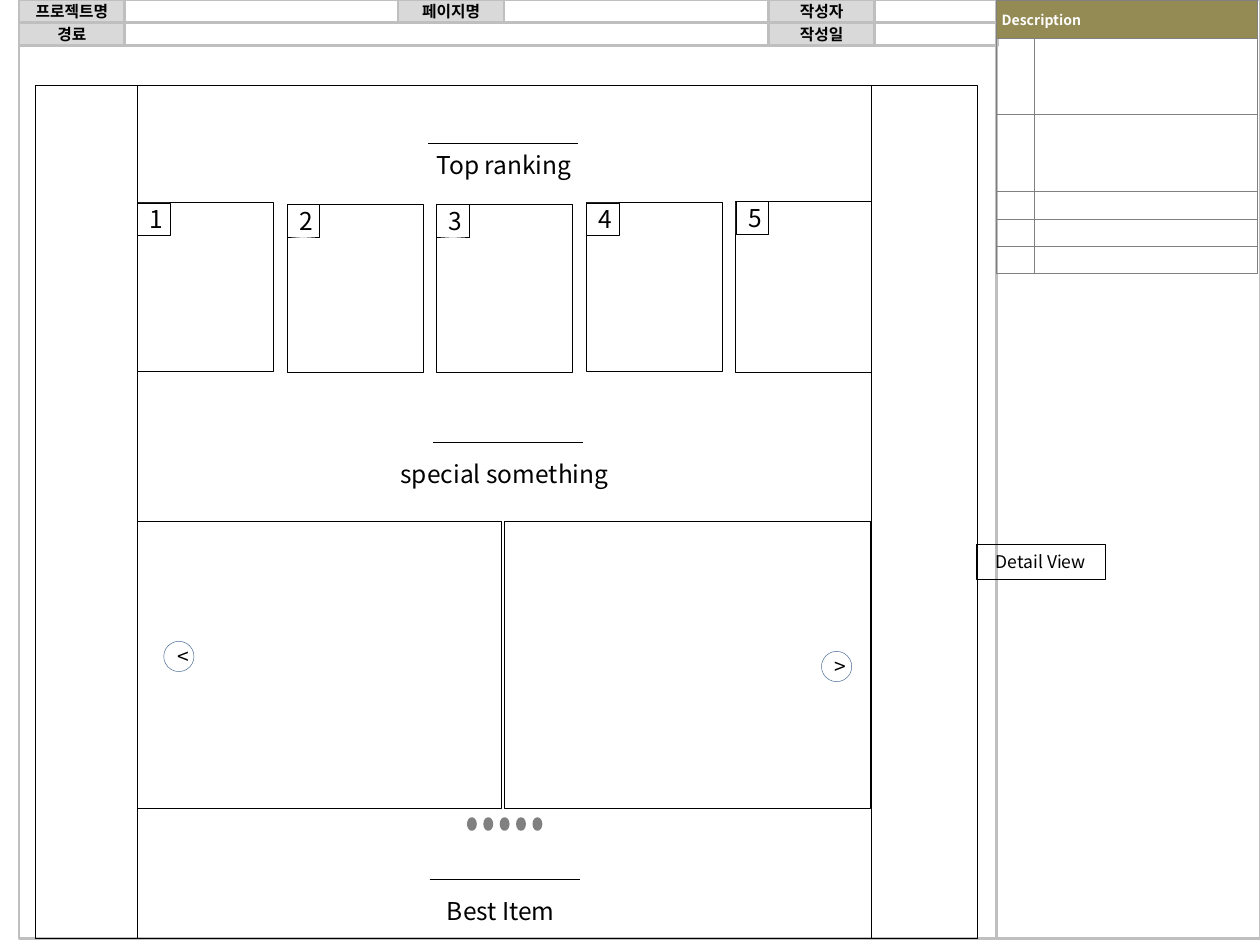
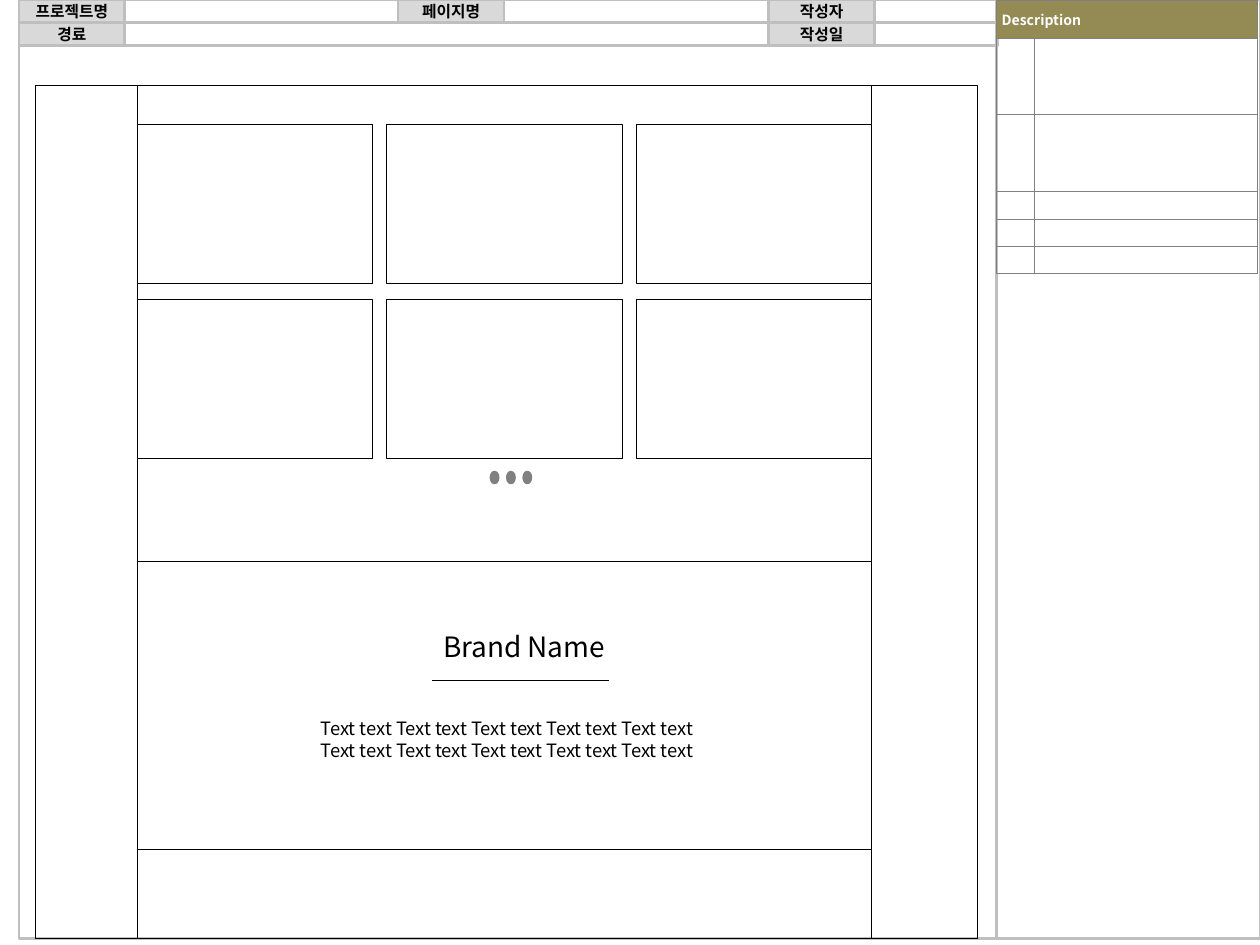
from dataclasses import dataclass
from typing import NamedTuple, Optional

from lxml import etree
from pptx import Presentation
from pptx.dml.color import RGBColor
from pptx.enum.shapes import MSO_CONNECTOR, MSO_SHAPE
from pptx.enum.text import MSO_ANCHOR, MSO_AUTO_SIZE, PP_ALIGN
from pptx.oxml.ns import qn
from pptx.util import Inches, Pt

RECT = MSO_SHAPE.RECTANGLE
OVAL = MSO_SHAPE.OVAL
STRAIGHT = MSO_CONNECTOR.STRAIGHT
MIDDLE = MSO_ANCHOR.MIDDLE
GROW = MSO_AUTO_SIZE.SHAPE_TO_FIT_TEXT
CENTER = PP_ALIGN.CENTER
LEFT = PP_ALIGN.LEFT


@dataclass(frozen=True)
class Theme:
    face: str = "Noto Sans CJK KR"
    ink: str = "000000"
    paper: str = "FFFFFF"
    frame: str = "BFBFBF"
    label: str = "D9D9D9"
    grey: str = "808080"
    olive: str = "948A54"
    blue: str = "3A5F8C"
    note: float = 8
    small: float = 9
    button: float = 10
    body: float = 10.5
    arrow: float = 12
    head: float = 14
    brand: float = 16
    hair: float = 0.25
    thin: float = 0.5
    thick: float = 1.5
    bold: float = 2


class Box(NamedTuple):
    left: float
    top: float
    width: float
    height: float


class Label(NamedTuple):
    text: str
    left: float
    row: int


class Title(NamedTuple):
    text: str
    box: Box
    rule: float
    top: float


class Arrow(NamedTuple):
    text: str
    left: float
    top: float


THEME = Theme()
BAND = 0.18
INNER = Box(1.09, 0.68, 5.83, 6.77)
FRAMES = [
    Box(0.15, 0, 9.85, 7.45),
    Box(0.15, 0, 7.77, 2 * BAND),
    Box(7.91, 0, 2.09, 7.45),
    Box(0.15, 0, 7.77, BAND),
]
LABELS = [
    Label("프로젝트명", 0.15, 0),
    Label("경료", 0.15, 1),
    Label("페이지명", 3.16, 0),
    Label("작성자", 6.1, 0),
    Label("작성일", 6.1, 1),
]
COLS = [0.3, 1.77]
ROWS = [0.3, 0.61, 0.61, 0.21, 0.21, 0.21]
TITLES = [
    Title("Top ranking", Box(1.06, 1.14, 5.88, 0.34), 3.4, 1.14),
    Title("special something", Box(1.1, 3.59, 5.81, 0.34), 3.44, 3.51),
    Title("Best Item", Box(1.07, 7.06, 5.81, 0.34), 3.41, 6.98),
]
RANKS = [(1.61, 1.34), (1.62, 1.34), (1.62, 1.34), (1.61, 1.34), (1.6, 1.36)]
ARROWS = [Arrow("<", 1.3, 5.09), Arrow(">", 6.52, 5.17)]


def color(code: str) -> RGBColor:
    return RGBColor.from_string(code)


def style(para, size: float, code: str = THEME.ink, bold: bool = False,
          align=CENTER) -> None:
    para.alignment = align
    font = para.font
    font.size = Pt(size)
    font.bold = bold
    font.name = THEME.face
    font.color.rgb = color(code)
    props = para._p.pPr.find(qn("a:defRPr"))
    etree.SubElement(props, qn("a:ea"), typeface=THEME.face)


def draw(shapes, box: Box, kind=RECT, fill: Optional[str] = None,
         line: str = THEME.ink, weight: float = THEME.thin, text: str = "",
         size: float = THEME.head, bold: bool = False) -> None:
    shape = shapes.add_shape(kind, *map(Inches, box))
    shape.shadow.inherit = False
    if fill:
        shape.fill.solid()
        shape.fill.fore_color.rgb = color(fill)
    else:
        shape.fill.background()
    shape.line.color.rgb = color(line)
    shape.line.width = Pt(weight)
    if text:
        frame = shape.text_frame
        frame.vertical_anchor = MIDDLE
        frame.text = text
        style(frame.paragraphs[0], size, bold=bold)


def write(shapes, box: Box, lines: list[str], size: float) -> None:
    frame = shapes.add_textbox(*map(Inches, box)).text_frame
    frame.word_wrap = True
    frame.auto_size = GROW
    frame.text = "\n".join(lines)
    for para in frame.paragraphs:
        style(para, size)


def rule(shapes, left: float, top: float, width: float) -> None:
    line = shapes.add_connector(STRAIGHT, Inches(left), Inches(top),
                                Inches(left + width), Inches(top))
    line.line.color.rgb = color(THEME.ink)
    line.line.width = Pt(THEME.hair)
    etree.SubElement(line._element.spPr, qn("a:effectLst"))


def dots(shapes, left: float, top: float, count: int) -> None:
    for i in range(count):
        draw(shapes, Box(left + 0.13 * i, top, 0.05, 0.08), OVAL,
             THEME.grey, THEME.grey, THEME.bold)


def edge(cell) -> None:
    props = cell._tc.get_or_add_tcPr()
    for i, side in enumerate(("lnL", "lnR", "lnT", "lnB")):
        line = etree.Element(qn(f"a:{side}"), w=str(Pt(THEME.hair)))
        solid = etree.SubElement(line, qn("a:solidFill"))
        etree.SubElement(solid, qn("a:srgbClr"), val=THEME.grey)
        props.insert(i, line)


def notes(shapes) -> None:
    table = shapes.add_table(
        len(ROWS), len(COLS), Inches(7.91), Inches(0),
        Inches(sum(COLS)), Inches(sum(ROWS))).table
    table.first_row = False
    table.horz_banding = False
    for col, width in zip(table.columns, COLS):
        col.width = Inches(width)
    for row, height in zip(table.rows, ROWS):
        row.height = Inches(height)
    for cell in table.iter_cells():
        cell.fill.background()
        cell.margin_left = cell.margin_right = Inches(0.04)
        cell.margin_top = cell.margin_bottom = Inches(0.04)
        para = cell.text_frame.paragraphs[0]
        etree.SubElement(para._p, qn("a:endParaRPr"),
                         sz=str(Pt(THEME.note).centipoints))
        edge(cell)
    head = table.cell(0, 0)
    head.merge(table.cell(0, 1))
    head.fill.solid()
    head.fill.fore_color.rgb = color(THEME.olive)
    head.vertical_anchor = MIDDLE
    head.text = "Description"
    style(head.text_frame.paragraphs[0], THEME.note, THEME.paper, True, LEFT)


def page(deck):
    shapes = deck.slides.add_slide(deck.slide_layouts[6]).shapes
    group = shapes.add_group_shape().shapes
    for box in FRAMES:
        draw(group, box, line=THEME.frame, weight=THEME.thick)
    for item in LABELS:
        draw(group, Box(item.left, item.row * BAND, 0.84, BAND),
             fill=THEME.label, line=THEME.frame, weight=THEME.thick,
             text=item.text, size=THEME.small, bold=True)
    draw(shapes, Box(0.28, INNER.top, 7.48, INNER.height))
    draw(shapes, INNER)
    notes(shapes)
    return shapes


def ranking(deck) -> None:
    shapes = page(deck)
    step = (5.84 - INNER.left) / (len(RANKS) - 1)
    for i, (top, height) in enumerate(RANKS):
        left = INNER.left + i * step
        draw(shapes, Box(left, top, 1.08, height))
        draw(shapes, Box(left, top, 0.26, 0.26), fill=THEME.paper,
             weight=THEME.hair, text=str(i + 1))
    draw(shapes, Box(INNER.left, 4.14, 2.89, 2.28))
    draw(shapes, Box(4, 4.14, 2.91, 2.28))
    draw(shapes, Box(7.75, 4.32, 1.02, 0.28), text="Detail View",
         size=THEME.button)
    for item in ARROWS:
        draw(shapes, Box(item.left, item.top, 0.24, 0.24), OVAL,
             line=THEME.blue, weight=THEME.hair, text=item.text,
             size=THEME.arrow)
    dots(shapes, 3.72, 6.5, 5)
    for item in TITLES:
        write(shapes, item.box, [item.text], THEME.head)
        rule(shapes, item.rule, item.top, 1.19)


def brand(deck) -> None:
    shapes = page(deck)
    for row in range(2):
        for col in range(3):
            draw(shapes, Box(INNER.left + 1.98 * col, 0.99 + 1.39 * row,
                             1.87, 1.26))
    dots(shapes, 3.9, 3.75, 3)
    draw(shapes, Box(INNER.left, 4.46, INNER.width, 2.28))
    write(shapes, Box(3.34, 4.95, 1.64, 0.37), ["Brand Name"], THEME.brand)
    rule(shapes, 3.43, 5.4, 1.4)
    line = " ".join(["Text text"] * 5)
    write(shapes, Box(1.14, 5.64, 5.77, 0.45), [line] * 2, THEME.body)


def main() -> None:
    deck = Presentation()
    deck.slide_width = Inches(10)
    deck.slide_height = Inches(7.5)
    ranking(deck)
    brand(deck)
    deck.save("out.pptx")


main()
